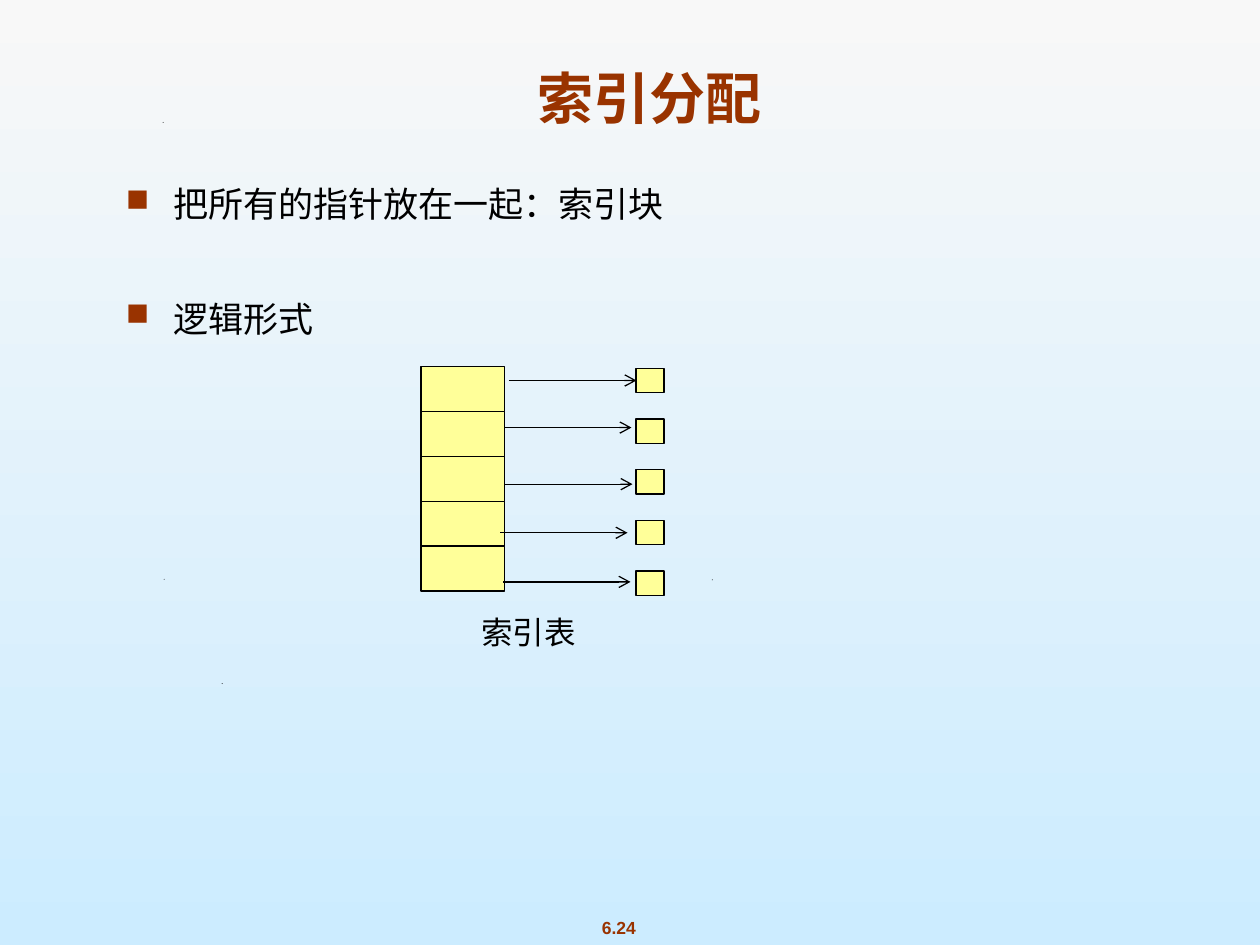
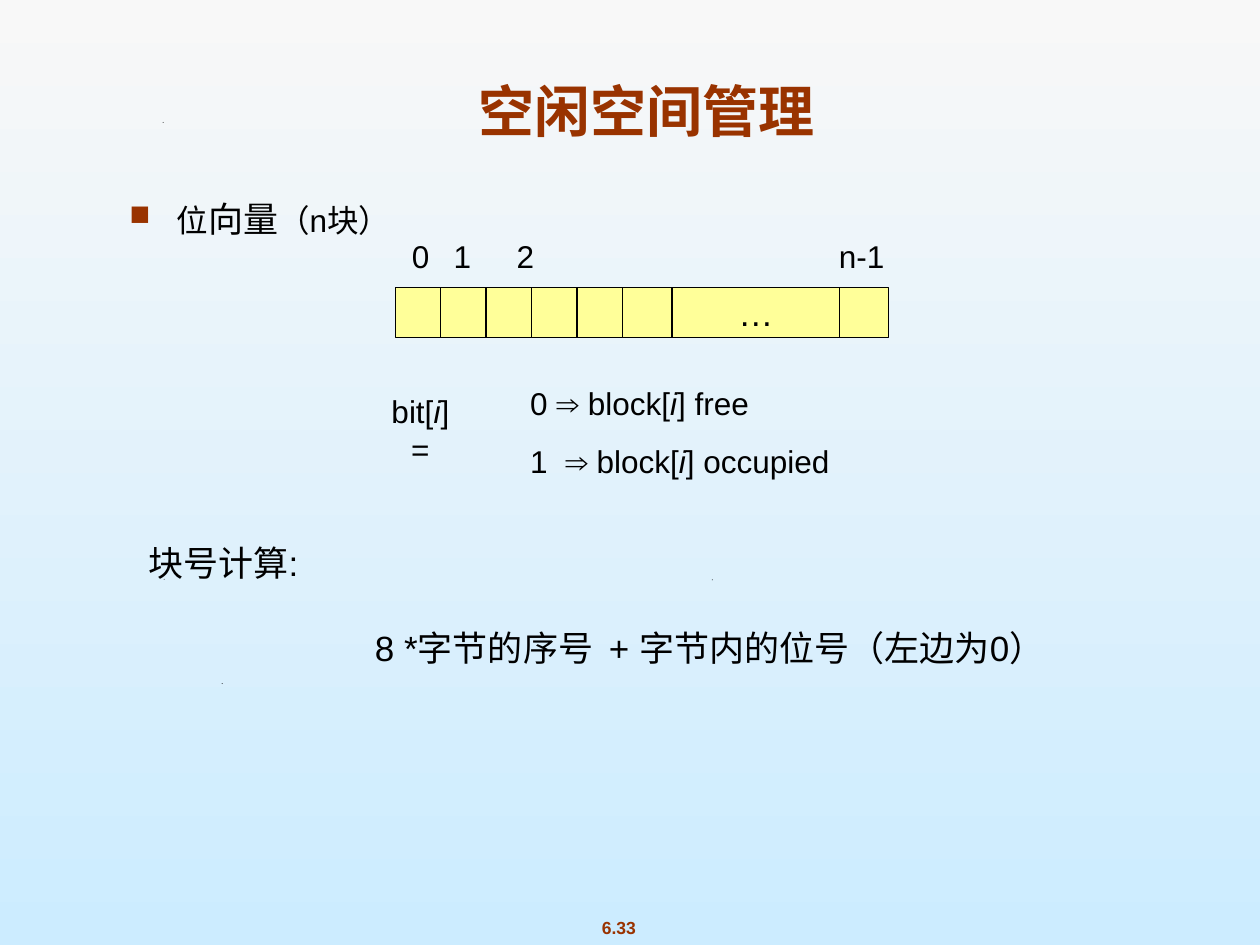
from dataclasses import dataclass

from lxml.etree import SubElement
from pptx import Presentation
from pptx.dml.color import RGBColor as Color
from pptx.enum.shapes import MSO_CONNECTOR as Connector, MSO_SHAPE as Shape
from pptx.enum.text import MSO_ANCHOR as Anchor, PP_ALIGN as Align
from pptx.oxml.ns import qn
from pptx.util import Cm, Pt


@dataclass(frozen=True)
class Theme:
    font: str = "Arial"
    accent: str = "993300"
    ink: str = "000000"
    cell: str = "FFFF99"
    sky_top: str = "F8F8F8"
    sky_bottom: str = "CCECFF"
    title: int = 32
    body: int = 20
    label: int = 18
    footer: int = 10
    line: float = 0.75


theme = Theme()
ITALIC = {"italic": True}


def write(frame, paragraphs, size, color=theme.ink, align=Align.LEFT, anchor=Anchor.MIDDLE,
          wrap=False, gap=0, bullet=False, indent=0, bold=False):
    """Fill a frame; each paragraph is a list of (text, font overrides) runs."""
    frame_format = {"word_wrap": wrap, "vertical_anchor": anchor}
    for name, value in frame_format.items():
        setattr(frame, name, value)
    for index, runs in enumerate(paragraphs):
        para = frame.add_paragraph() if index else frame.paragraphs[0]
        para.alignment = align
        if index:
            para.space_before = Pt(gap)
        properties = para._p.get_or_add_pPr()
        if indent:
            properties.set("marL", str(Cm(indent)))
        if bullet:
            properties.set("indent", str(-Cm(indent)))
            tint = SubElement(properties, qn("a:buClr"))
            SubElement(tint, qn("a:srgbClr"), val=theme.accent)
            SubElement(properties, qn("a:buSzPct"), val="90000")
            SubElement(properties, qn("a:buChar"), char="■")
        for text, overrides in runs:
            span = para.add_run()
            span.text = text
            font_format = {"name": theme.font, "size": Pt(size), "bold": bold} | overrides
            for name, value in font_format.items():
                setattr(span.font, name, value)
            span.font.color.rgb = Color.from_string(color)


def add_cell(page, left, top, width, height):
    cell = page.shapes.add_shape(Shape.RECTANGLE, Cm(left), Cm(top), Cm(width), Cm(height))
    cell.shadow.inherit = False
    cell.fill.solid()
    cell.fill.fore_color.rgb = Color.from_string(theme.cell)
    cell.line.color.rgb = Color.from_string(theme.ink)
    cell.line.width = Pt(theme.line)
    return cell


deck = Presentation()
deck.slide_width, deck.slide_height = Cm(25.4), Cm(19.05)

sky = deck.slide_master.background.fill
sky.gradient()
sky.gradient_angle = 270
for stop, color in zip(sky.gradient_stops, (theme.sky_top, theme.sky_bottom)):
    stop.color.rgb = Color.from_string(color)

# Shared frame: footer number, specks and title
headings = [("索引分配", 1.88, 1.07, "6.24"), ("空闲空间管理", 1.83, 1.32, "6.33")]
specks = [(4.47, 13.78), (3.3, 11.68), (14.35, 11.69), (3.28, 2.47)]
pages = []
for title, left, top, number in headings:
    page = deck.slides.add_slide(deck.slide_layouts[6])
    pages.append(page)
    box = page.shapes.add_textbox(Cm(11.23), Cm(18.36), Cm(2.49), Cm(0.69))
    write(box.text_frame, [[(number, {})]], theme.footer, theme.accent, Align.CENTER,
          Anchor.TOP, bold=True)
    for x, y in specks:
        outline = page.shapes.build_freeform(Cm(x), Cm(y))
        outline.add_line_segments([(Cm(x + 0.02), Cm(y - 0.01)), (Cm(x + 0.01), Cm(y + 0.01))])
        speck = outline.convert_to_shape()
        speck.shadow.inherit = False
        speck.fill.solid()
        speck.fill.fore_color.rgb = Color.from_string(theme.ink)
        speck.line.fill.background()
    box = page.shapes.add_textbox(Cm(left), Cm(top), Cm(22.43), Cm(1.7))
    write(box.text_frame, [[(title, {})]], theme.title, theme.accent, Align.CENTER,
          Anchor.BOTTOM, wrap=True, bold=True)
index_page, vector_page = pages

# Indexed allocation
box = index_page.shapes.add_textbox(Cm(2.29), Cm(3.56), Cm(20.42), Cm(4.22))
points = [[("把所有的指针放在一起：索引块", {})], [("逻辑形式", {})]]
write(box.text_frame, points, theme.body, anchor=Anchor.TOP, wrap=True, gap=41.5,
      bullet=True, indent=0.95)

for row in range(5):
    add_cell(index_page, 8.49, 7.39 + row * 0.905, 1.68, 0.905)
for row in range(5):
    add_cell(index_page, 12.82, 7.43 + row * 1.02, 0.57, 0.49)

arrow_length = 2.57
for left, top in [(10.26, 7.67), (10.16, 8.62), (10.18, 9.76), (10.08, 10.74), (10.14, 11.73)]:
    arrow = index_page.shapes.add_connector(
        Connector.STRAIGHT, Cm(left), Cm(top), Cm(left + arrow_length), Cm(top))
    arrow.line.color.rgb = Color.from_string(theme.ink)
    arrow.line.width = Pt(theme.line)
    SubElement(arrow.line._get_or_add_ln(), qn("a:tailEnd"), type="arrow")
    SubElement(arrow._element.spPr, qn("a:effectLst"))

box = index_page.shapes.add_textbox(Cm(9.45), Cm(12.22), Cm(2.41), Cm(1.02))
write(box.text_frame, [[("索引表", {})]], theme.label, align=Align.CENTER)

# Free-space bit vector
box = vector_page.shapes.add_textbox(Cm(2.36), Cm(3.86), Cm(20.29), Cm(1.3))
point = [("位", {}), ("向量", {"size": Pt(theme.body)}), ("（n块）", {})]
write(box.text_frame, [point], theme.label, anchor=Anchor.TOP, wrap=True, bullet=True, indent=0.95)

bit_top, bit_width, bit_height = 5.79, 0.99, 1.02
for column in range(6):
    add_cell(vector_page, 7.97 + column * 0.915, bit_top, bit_width, bit_height)
ellipsis_cell = add_cell(vector_page, 13.55, bit_top, 3.38, bit_height)
write(ellipsis_cell.text_frame, [[("…", {})]], theme.body, align=Align.CENTER)
add_cell(vector_page, 16.93, bit_top, bit_width, bit_height)

for text, left, width in [("0", 8.05, 0.86), ("1", 8.89, 0.86), ("2", 10.16, 0.86),
                          ("n-1", 16.66, 1.42)]:
    box = vector_page.shapes.add_textbox(Cm(left), Cm(4.65), Cm(width), Cm(1.02))
    write(box.text_frame, [[(text, {})]], theme.label, align=Align.CENTER)

box = vector_page.shapes.add_textbox(Cm(7.37), Cm(8.15), Cm(2.21), Cm(1.02))
write(box.text_frame, [[("bit[", {}), ("i", ITALIC), ("] =", {})]], theme.label,
      align=Align.CENTER)

box = vector_page.shapes.add_textbox(Cm(10.44), Cm(7.62), Cm(6.58), Cm(2.18))
cases = [[(start, {}), ("i", ITALIC), (end, {})]
         for start, end in [("0 ⇒ block[", "] free"), ("1  ⇒ block[", "] occupied")]]
write(box.text_frame, cases, theme.label, gap=11.2)

box = vector_page.shapes.add_textbox(Cm(2.74), Cm(10.8), Cm(19.53), Cm(1.24))
write(box.text_frame, [[("块号计算:", {})]], theme.body, anchor=Anchor.TOP, wrap=True)

box = vector_page.shapes.add_textbox(Cm(5.74), Cm(12.5), Cm(19.18), Cm(1.12))
formula = "8 *字节的序号  + 字节内的位号（左边为0）"
write(box.text_frame, [[(formula, {})]], theme.body, wrap=True, indent=1.57)

deck.save("out.pptx")
